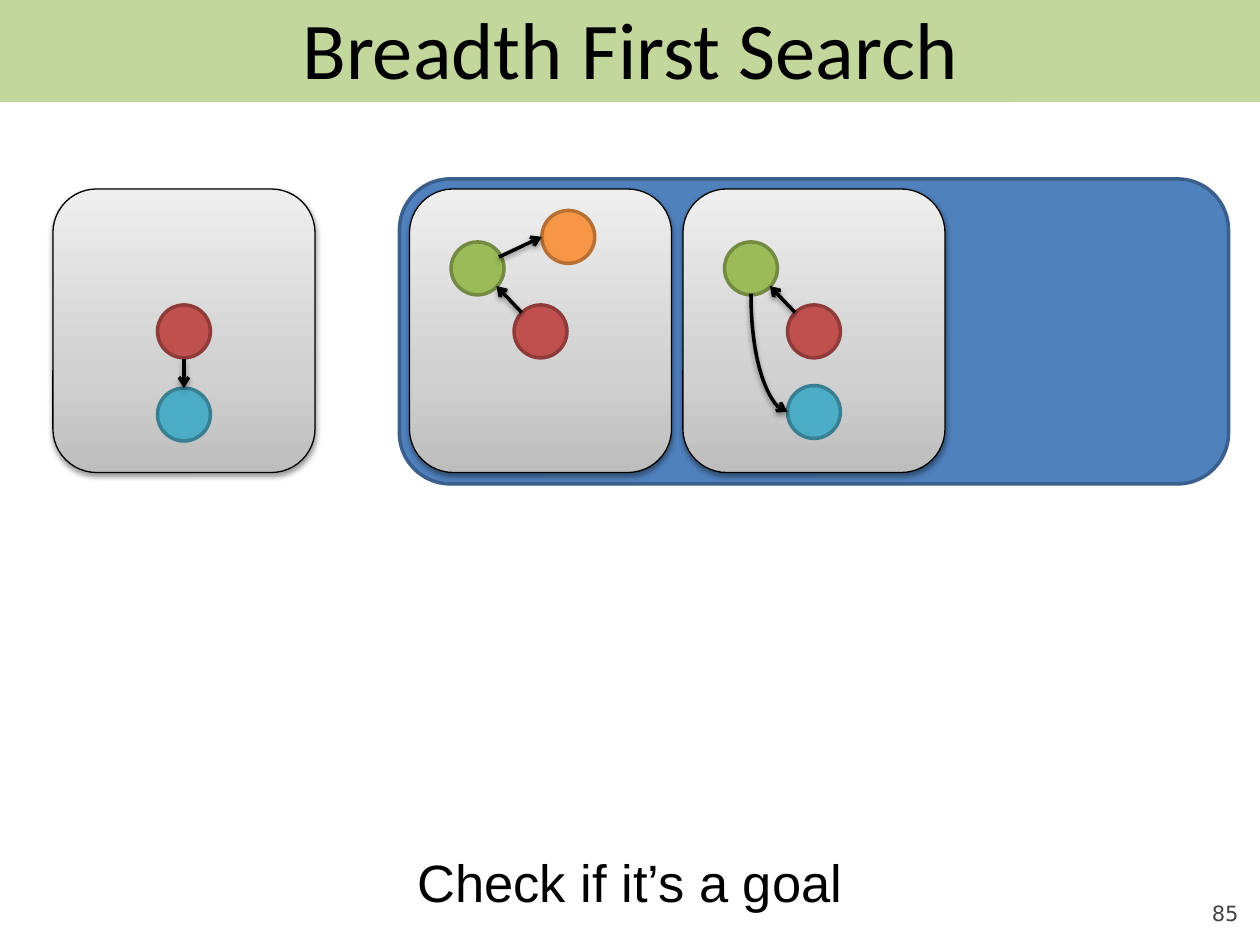
import pptx
import pptx.dml.color
import pptx.enum.shapes
import pptx.enum.text
import pptx.oxml.ns
import pptx.util
from lxml import etree

Inches = pptx.util.Inches
RGBColor = pptx.dml.color.RGBColor
Shapes = pptx.enum.shapes.MSO_SHAPE
Connectors = pptx.enum.shapes.MSO_CONNECTOR
Align = pptx.enum.text.PP_ALIGN
Anchor = pptx.enum.text.MSO_ANCHOR
qn = pptx.oxml.ns.qn

BLACK = RGBColor(0x00, 0x00, 0x00)
GREY = RGBColor(0x42, 0x42, 0x42)
BANNER = RGBColor(0xC3, 0xD6, 0x9B)
QUEUE = RGBColor(0x4F, 0x81, 0xBD)
QUEUE_EDGE = RGBColor(0x3A, 0x5F, 0x8C)
RED = (RGBColor(0xC0, 0x50, 0x4D), RGBColor(0x8E, 0x3B, 0x39))
BLUE = (RGBColor(0x4B, 0xAC, 0xC6), RGBColor(0x37, 0x7F, 0x92))
GREEN = (RGBColor(0x9B, 0xBB, 0x59), RGBColor(0x73, 0x8A, 0x42))
ORANGE = (RGBColor(0xF7, 0x96, 0x46), RGBColor(0xB7, 0x6F, 0x34))
PANEL_STOPS = (
    (0, RGBColor(0xBD, 0xBD, 0xBD)),
    (35, RGBColor(0xD1, 0xD1, 0xD1)),
    (100, RGBColor(0xEE, 0xEE, 0xEE)),
)
NODE_SIZE = 0.42
PANEL_TOP = 1.5
FIRST_QUEUED, PANEL_PITCH = 3.25, 2.17


class SearchSlide:
    """Draws search-tree panels on one slide in a shared style."""

    def __init__(self, presentation):
        self.slide = presentation.slides.add_slide(presentation.slide_layouts[6])

    def add_color(self, parent, color, alpha=None):
        element = etree.SubElement(parent, qn("a:srgbClr"), val=str(color))
        if alpha:
            etree.SubElement(element, qn("a:alpha"), val=str(alpha * 1000))

    def add_shadow(self, effects):
        shadow = etree.SubElement(
            effects, qn("a:outerShdw"), blurRad=str(pptx.util.Pt(3.1)),
            dist=str(pptx.util.Pt(1.6)), dir="5400000", rotWithShape="0")
        self.add_color(shadow, BLACK, 38)

    def box(self, kind, left, top, width, height, fill=None, edge=None, weight=2):
        shape = self.slide.shapes.add_shape(
            kind, Inches(left), Inches(top), Inches(width), Inches(height))
        shape.shadow.inherit = False
        if fill is not None:
            shape.fill.solid()
            shape.fill.fore_color.rgb = fill
        if edge is None:
            shape.line.fill.background()
        else:
            shape.line.color.rgb = edge
            shape.line.width = pptx.util.Pt(weight)
        return shape

    def panel(self, left):
        shape = self.box(Shapes.ROUNDED_RECTANGLE, left, PANEL_TOP, 2.08, 2.25,
                         edge=BLACK, weight=0.75)
        shape.fill.gradient()
        shape.fill.gradient_angle = 90
        properties = shape.element.spPr
        stops = properties.find(qn("a:gradFill")).find(qn("a:gsLst"))
        for stop in list(stops):
            stops.remove(stop)
        for position, color in PANEL_STOPS:
            stop = etree.SubElement(stops, qn("a:gs"), pos=str(position * 1000))
            self.add_color(stop, color)
        self.add_shadow(properties.find(qn("a:effectLst")))

    def node(self, left, top, colors):
        self.box(Shapes.OVAL, left, top, NODE_SIZE, NODE_SIZE, *colors)

    def arrow(self, x1, y1, x2, y2, kind=Connectors.STRAIGHT):
        connector = self.slide.shapes.add_connector(
            kind, Inches(x1), Inches(y1), Inches(x2), Inches(y2))
        connector.line.color.rgb = BLACK
        connector.line.width = pptx.util.Pt(2)
        properties = connector.element.spPr
        etree.SubElement(properties.find(qn("a:ln")), qn("a:tailEnd"), type="arrow")
        self.add_shadow(etree.SubElement(properties, qn("a:effectLst")))
        return connector

    def curved_arrow(self, x1, y1, x2, y2):
        connector = self.arrow(x1, y1, x2, y2, Connectors.CURVE)
        length, depth = y2 - y1, x2 - x1
        places = {
            "left": (x1 + x2 - length) / 2, "top": (y1 + y2 - depth) / 2,
            "width": length, "height": depth,
        }
        for name, value in places.items():
            setattr(connector, name, Inches(value))
        properties = connector.element.spPr
        properties.find(qn("a:prstGeom")).set("prst", "curvedConnector2")
        transform = properties.find(qn("a:xfrm"))
        transform.set("rot", "16200000")
        transform.set("flipH", "1")

    def root_and_green(self, left):
        self.panel(left)
        self.node(left + 0.83, 2.42, RED)
        self.node(left + 0.33, 1.92, GREEN)
        self.arrow(left + 0.89, 2.48, left + 0.69, 2.27)

    def text(self, words, left, top, width, height, font, size, color=BLACK,
             align=Align.CENTER, anchor=Anchor.TOP, margin=None):
        box = self.slide.shapes.add_textbox(
            Inches(left), Inches(top), Inches(width), Inches(height))
        frame = box.text_frame
        settings = {"word_wrap": True, "vertical_anchor": anchor}
        if margin is not None:
            for side in ("left", "top", "right", "bottom"):
                settings["margin_" + side] = Inches(margin)
        for name, value in settings.items():
            setattr(frame, name, value)
        paragraph = frame.paragraphs[0]
        paragraph.alignment = align
        run = paragraph.add_run()
        run.text = words
        for name, value in {"name": font, "size": pptx.util.Pt(size)}.items():
            setattr(run.font, name, value)
        run.font.color.rgb = color


def main():
    presentation = pptx.Presentation()
    presentation.slide_width = Inches(10)
    presentation.slide_height = Inches(7.5)
    search = SearchSlide(presentation)

    search.text("85", 9, 6.95, 0.83, 0.4, "DejaVu Sans", 12, GREY,
                Align.RIGHT, Anchor.BOTTOM, 0)
    banner = search.box(Shapes.ROUNDED_RECTANGLE, 0, 0, 10, 0.81, BANNER)
    banner.adjustments[0] = 0.001
    search.box(Shapes.ROUNDED_RECTANGLE, 3.17, 1.42, 6.58, 2.42, QUEUE, QUEUE_EDGE)

    search.panel(0.42)
    search.node(1.25, 2.42, RED)
    search.node(1.25, 3.08, BLUE)
    search.arrow(1.46, 2.85, 1.46, 3.08)

    search.root_and_green(FIRST_QUEUED)
    search.node(4.3, 1.67, ORANGE)
    search.arrow(3.96, 2.04, 4.3, 1.88)

    search.root_and_green(FIRST_QUEUED + PANEL_PITCH)
    search.node(6.25, 3.06, BLUE)
    search.curved_arrow(5.96, 2.33, 6.25, 3.27)

    search.text("Check if it’s a goal", 0, 6.7, 10, 0.61, "Arial", 30)
    search.text("Breadth First Search", 0.5, 0, 9, 0.75, "Calibri", 46,
                anchor=Anchor.MIDDLE)
    presentation.save("out.pptx")


if __name__ == "__main__":
    main()
